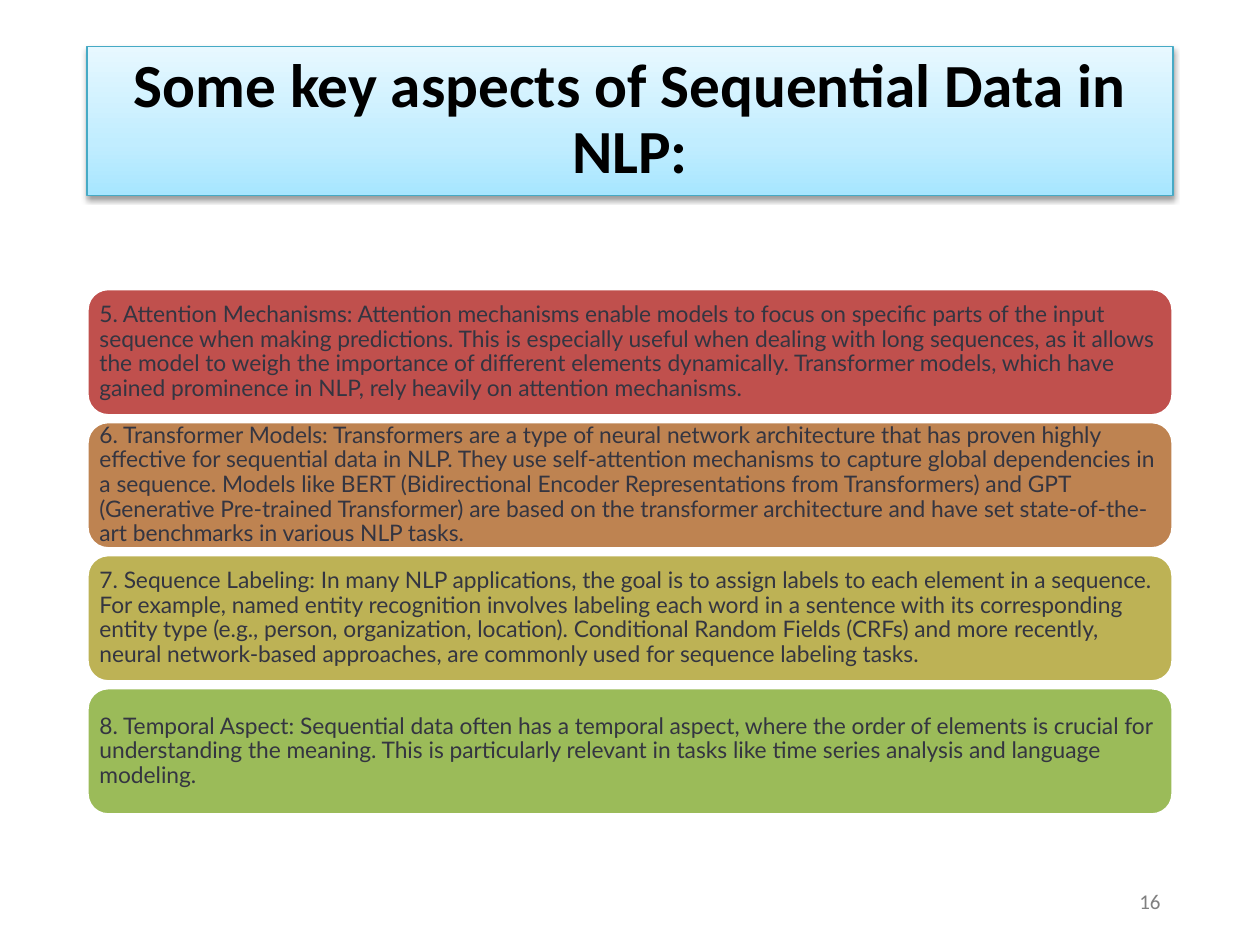
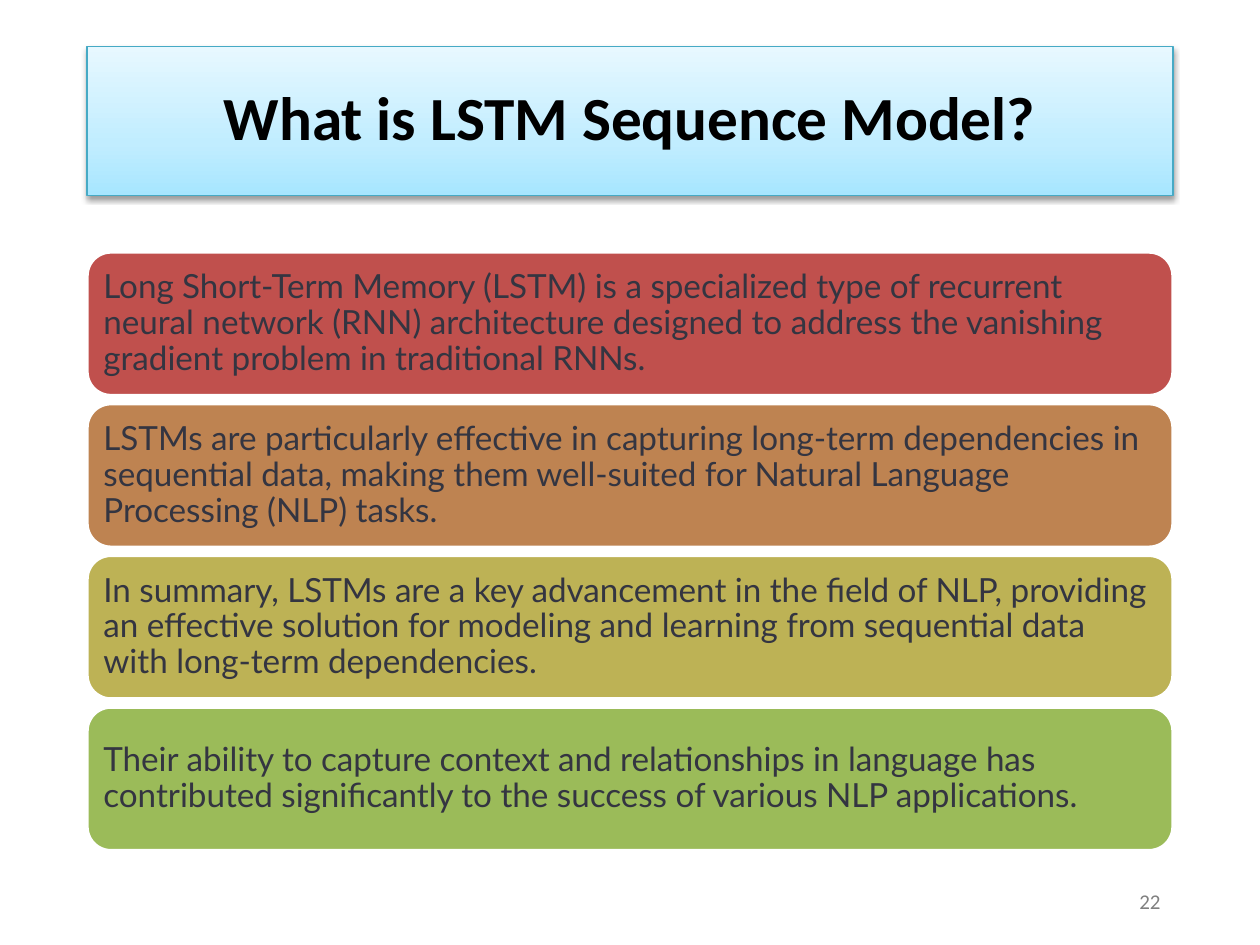
from copy import deepcopy
from dataclasses import dataclass

from lxml.etree import SubElement
from pptx import Presentation
from pptx.dml.color import RGBColor
from pptx.enum.shapes import MSO_SHAPE
from pptx.enum.text import MSO_ANCHOR, MSO_AUTO_SIZE, PP_ALIGN
from pptx.oxml.ns import qn
from pptx.util import Inches, Pt


@dataclass(frozen=True)
class Theme:
    head_font: str = "Calibri"
    body_font: str = "Lato"
    title_size: int = 35
    number_size: int = 12
    title_ink: str = "000000"
    body_ink: str = "343541"
    number_ink: str = "808080"
    edge: str = "46AAC5"
    outline: str = "FFFFFF"
    shadow: str = "000000"
    gradient: tuple = ((0, "A7E6FF"), (0.35, "C1EDFF"), (1, "E7F8FF"))
    cards: tuple = ("C0504D", "BE8351", "BDB255", "9BBB59")


class Deck:
    """Builds slides on a grid of 100 columns by 75 rows."""

    COLS, ROWS = 100, 75
    LEFT, SPAN = 6.9, 86.2

    def __init__(self, theme):
        self.theme = theme
        self.prs = Presentation()
        self.prs.slide_width, self.prs.slide_height = Inches(10), Inches(7.5)
        self.slide = None

    def box(self, col, row, cols, rows):
        dx = self.prs.slide_width / self.COLS
        dy = self.prs.slide_height / self.ROWS
        return [round(n) for n in (col * dx, row * dy, cols * dx, rows * dy)]

    def add_text(self, sp, text, font, size, ink, align, bold=False, spacing=None):
        tf = sp.text_frame
        tf.word_wrap = True
        tf.auto_size = MSO_AUTO_SIZE.NONE
        tf.vertical_anchor = MSO_ANCHOR.MIDDLE
        p = tf.paragraphs[0]
        p.alignment = align
        p.line_spacing = spacing
        r = p.add_run()
        r.text = text
        r.font.name, r.font.size, r.font.bold = font, Pt(size), bold
        r.font.color.rgb = RGBColor.from_string(ink)
        return tf

    def gradient(self, sp):
        sp.fill.gradient()
        sp.fill.gradient_angle = 90
        gs_list = next(sp._element.spPr.iter(qn("a:gsLst")))
        gs_list.append(deepcopy(gs_list[0]))
        for stop, (place, color) in zip(sp.fill.gradient_stops, self.theme.gradient):
            stop.position = place
            stop.color.rgb = RGBColor.from_string(color)

    def shadow(self, sp):
        effects = SubElement(sp._element.spPr, qn("a:effectLst"))
        outer = SubElement(effects, qn("a:outerShdw"), blurRad=str(Pt(3.1)),
                           dist=str(Pt(1.6)), dir="5400000", rotWithShape="0")
        color = SubElement(outer, qn("a:srgbClr"), val=self.theme.shadow)
        SubElement(color, qn("a:alpha"), val="38000")

    def title(self, text):
        t = self.theme
        self.slide = self.prs.slides.add_slide(self.prs.slide_layouts[5])
        sp = self.slide.shapes.title
        sp.left, sp.top, sp.width, sp.height = self.box(self.LEFT, 3.7, self.SPAN, 11.8)
        self.gradient(sp)
        sp.line.color.rgb = RGBColor.from_string(t.edge)
        sp.line.width = Pt(0.75)
        self.shadow(sp)
        self.add_text(sp, text, t.head_font, t.title_size, t.title_ink,
                      PP_ALIGN.CENTER, bold=True, spacing=0.9)

    def number(self, value):
        t = self.theme
        sp = self.slide.shapes.add_textbox(*self.box(71.5, 69.5, 21.6, 4))
        self.add_text(sp, str(value), t.head_font, t.number_size, t.number_ink,
                      PP_ALIGN.RIGHT)

    def cards(self, texts, top, height, pitch, size, inset):
        t = self.theme
        for i, (text, color) in enumerate(zip(texts, t.cards)):
            sp = self.slide.shapes.add_shape(
                MSO_SHAPE.ROUNDED_RECTANGLE,
                *self.box(self.LEFT, top + i * pitch, self.SPAN, height))
            sp.shadow.inherit = False
            sp.fill.solid()
            sp.fill.fore_color.rgb = RGBColor.from_string(color)
            sp.line.color.rgb = RGBColor.from_string(t.outline)
            sp.line.width = Pt(2)
            tf = self.add_text(sp, text, t.body_font, size, t.body_ink,
                               PP_ALIGN.LEFT, spacing=0.9)
            tf.margin_left = tf.margin_right = self.box(inset, 0, 0, 0)[0]
            tf.margin_top = tf.margin_bottom = self.box(0, inset, 0, 0)[1]


ASPECTS = (
    "5. Attention Mechanisms: Attention mechanisms enable models to focus on specific "
    "parts of the input sequence when making predictions. This is especially useful when "
    "dealing with long sequences, as it allows the model to weigh the importance of "
    "different elements dynamically. Transformer models, which have gained prominence in "
    "NLP, rely heavily on attention mechanisms.",
    "6. Transformer Models: Transformers are a type of neural network architecture that "
    "has proven highly effective for sequential data in NLP. They use self-attention "
    "mechanisms to capture global dependencies in a sequence. Models like BERT "
    "(Bidirectional Encoder Representations from Transformers) and GPT (Generative "
    "Pre-trained Transformer) are based on the transformer architecture and have set "
    "state-of-the-art benchmarks in various NLP tasks.",
    "7. Sequence Labeling: In many NLP applications, the goal is to assign labels to each "
    "element in a sequence. For example, named entity recognition involves labeling each "
    "word in a sentence with its corresponding entity type (e.g., person, organization, "
    "location). Conditional Random Fields (CRFs) and more recently, neural network-based "
    "approaches, are commonly used for sequence labeling tasks.",
    "8. Temporal Aspect: Sequential data often has a temporal aspect, where the order of "
    "elements is crucial for understanding the meaning. This is particularly relevant in "
    "tasks like time series analysis and language modeling.",
)

LSTM_POINTS = (
    "Long Short-Term Memory (LSTM) is a specialized type of recurrent neural network "
    "(RNN) architecture designed to address the vanishing gradient problem in "
    "traditional RNNs.",
    "LSTMs are particularly effective in capturing long-term dependencies in sequential "
    "data, making them well-suited for Natural Language Processing (NLP) tasks.",
    "In summary, LSTMs are a key advancement in the field of NLP, providing an effective "
    "solution for modeling and learning from sequential data with long-term dependencies.",
    "Their ability to capture context and relationships in language has contributed "
    "significantly to the success of various NLP applications.",
)


def main():
    deck = Deck(Theme())

    deck.title("Some key aspects of Sequential Data in NLP:")
    deck.number(16)
    deck.cards(ASPECTS, top=22.9, height=10.1, pitch=10.56, size=13, inset=0.5)

    deck.title("What is LSTM Sequence Model?")
    deck.number(22)
    deck.cards(LSTM_POINTS, top=20, height=11.4, pitch=12.04, size=19, inset=0.75)

    deck.prs.save("out.pptx")


if __name__ == "__main__":
    main()
